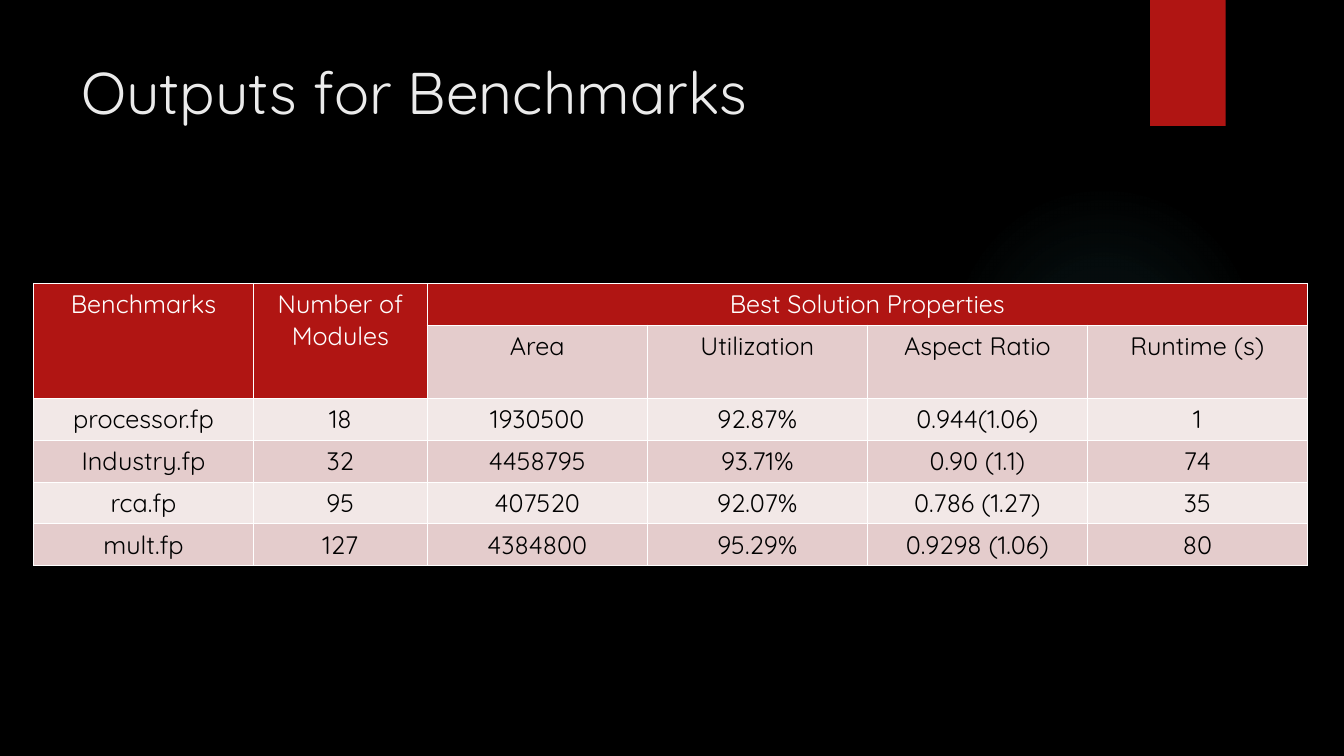
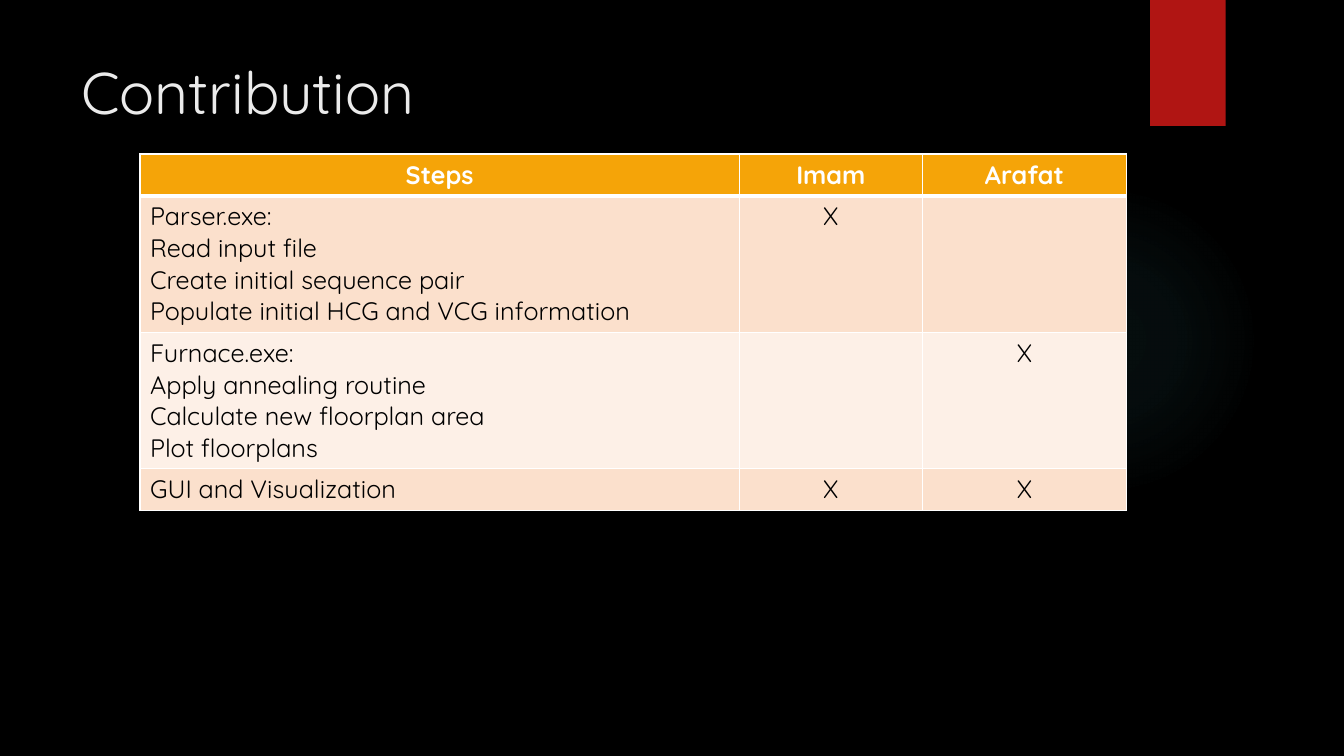
from dataclasses import dataclass

from lxml.etree import SubElement
from pptx import Presentation
from pptx.dml.color import RGBColor
from pptx.enum.shapes import MSO_SHAPE
from pptx.enum.text import MSO_ANCHOR, MSO_AUTO_SIZE, PP_ALIGN
from pptx.oxml import parse_xml
from pptx.oxml.ns import nsdecls, qn
from pptx.util import Pt


@dataclass(frozen=True)
class Theme:
    font: str = "Quicksand"
    title_size: float = 42
    table_size: float = 18
    backdrop: str = "000000"
    title: str = "EBEBEB"
    header_text: str = "FFFFFF"
    body_text: str = "000000"
    rule: str = "FFFFFF"
    glow: str = "50B9C1"
    red: str = "B01513"
    red_bands: tuple = ("E4CCCC", "F2E8E7")
    amber: str = "F5A408"
    amber_bands: tuple = ("FBE0CC", "FDF0E7")


THEME = Theme()
SLIDE_SIZE = (960, 540)
TITLE_BOX = (51, 36, 741, 80)
GLOW_BOX = (677.5, 131.75, 222, 222)
RIBBON_BOX = (821.5, 0, 54, 90)
ROW = 29.8  # height of a table row with one line


def points(values):
    return [Pt(value) for value in values]


def write(frame, text, size=THEME.table_size, color=THEME.body_text,
          bold=False, align=PP_ALIGN.LEFT):
    """Fill a text frame, one paragraph for each line of text."""
    frame.word_wrap = True
    frame.text = text
    for paragraph in frame.paragraphs:
        paragraph.alignment = align
        font = paragraph.font
        font.name, font.size, font.bold = THEME.font, Pt(size), bold
        font.color.rgb = RGBColor.from_string(color)
        for run in paragraph.runs:
            run.font.name = THEME.font


def add_plain_shape(slide, kind, box):
    shape = slide.shapes.add_shape(kind, *points(box))
    shape.shadow.inherit = False
    shape.line.fill.background()
    return shape


def add_glow(slide, box):
    """Faint round light that fades outwards."""
    glow = add_plain_shape(slide, MSO_SHAPE.OVAL, box)
    glow.fill.background()
    stops = "".join(
        f'<a:gs pos="{position * 1000}"><a:srgbClr val="{THEME.glow}">'
        f'<a:alpha val="{alpha * 1000}"/></a:srgbClr></a:gs>'
        for position, alpha in ((0, 7), (36, 6), (69, 0)))
    gradient = parse_xml(
        f'<a:gradFill {nsdecls("a")} rotWithShape="1"><a:gsLst>{stops}</a:gsLst>'
        '<a:path path="circle"><a:fillToRect l="50000" t="50000" r="50000" b="50000"/>'
        '</a:path></a:gradFill>')
    properties = glow.element.spPr
    properties.replace(properties.find(qn("a:noFill")), gradient)


def add_ribbon(slide, box):
    ribbon = add_plain_shape(slide, MSO_SHAPE.RECTANGLE, box)
    ribbon.fill.solid()
    ribbon.fill.fore_color.rgb = RGBColor.from_string(THEME.red)


def add_titled_slide(deck, heading):
    """Slide with the shared decoration and title."""
    slide = deck.slides.add_slide(deck.slide_layouts[5])
    add_glow(slide, GLOW_BOX)
    add_ribbon(slide, RIBBON_BOX)
    title = slide.shapes.title
    title.left, title.top, title.width, title.height = points(TITLE_BOX)
    frame = title.text_frame
    frame.auto_size = MSO_AUTO_SIZE.NONE
    frame.vertical_anchor = MSO_ANCHOR.TOP
    write(frame, heading, size=THEME.title_size, color=THEME.title)
    return slide


def style_cell(cell, fill, top=1, bottom=1):
    """Border lines come before the fill in the cell properties."""
    properties = cell._tc.get_or_add_tcPr()
    for side, width in (("L", 1), ("R", 1), ("T", top), ("B", bottom)):
        line = SubElement(properties, qn(f"a:ln{side}"), w=str(Pt(width)))
        SubElement(SubElement(line, qn("a:solidFill")), qn("a:srgbClr"), val=THEME.rule)
    cell.fill.solid()
    cell.fill.fore_color.rgb = RGBColor.from_string(fill)


def add_grid(slide, origin, widths, heights, rows, header, bands,
             is_header, left_column=False, header_rule=1, bold=False):
    """Banded table; is_header(row, column) picks the header cells."""
    frame = slide.shapes.add_table(
        len(rows), len(widths), *points((*origin, sum(widths), sum(heights))))
    table = frame.table
    for column, width in zip(table.columns, widths):
        column.width = Pt(width)
    for table_row, height in zip(table.rows, heights):
        table_row.height = Pt(height)
    for r, row in enumerate(rows):
        for c, text in enumerate(row):
            cell, heading = table.cell(r, c), is_header(r, c)
            style_cell(cell, header if heading else bands[(r - 1) % 2],
                       top=header_rule if r == 1 else 1,
                       bottom=header_rule if r == 0 else 1)
            flush_left = left_column and c == 0 and not heading
            write(cell.text_frame, text,
                  color=THEME.header_text if heading else THEME.body_text,
                  bold=bold and heading,
                  align=PP_ALIGN.LEFT if flush_left else PP_ALIGN.CENTER)
    return table


def build_benchmarks(deck):
    slide = add_titled_slide(deck, "Outputs for Benchmarks")
    rows = [
        ("Benchmarks", "Number of Modules", "Best Solution Properties", "", "", ""),
        ("", "", "Area", "Utilization", "Aspect Ratio", "Runtime (s)"),
        ("processor.fp", "18", "1930500", "92.87%", "0.944(1.06)", "1"),
        ("Industry.fp", "32", "4458795", "93.71%", "0.90 (1.1)", "74"),
        ("rca.fp", "95", "407520", "92.07%", "0.786 (1.27)", "35"),
        ("mult.fp", "127", "4384800", "95.29%", "0.9298 (1.06)", "80"),
    ]
    table = add_grid(
        slide, (24, 202.5), [157, 124.2] + [157.2] * 4, [ROW, 52.5] + [ROW] * 4,
        rows, THEME.red, THEME.red_bands,
        is_header=lambda r, c: r == 0 or (r == 1 and c < 2))
    # Merged headings
    for first, last in (((0, 0), (1, 0)), ((0, 1), (1, 1)), ((0, 2), (0, 5))):
        table.cell(*first).merge(table.cell(*last))


def build_contribution(deck):
    slide = add_titled_slide(deck, "Contribution")
    parser_steps = ("Parser.exe:", "Read input file", "Create initial sequence pair",
                    "Populate initial HCG and VCG information")
    furnace_steps = ("Furnace.exe:", "Apply annealing routine",
                     "Calculate new floorplan area", "Plot floorplans")
    rows = [
        ("Steps", "Imam", "Arafat"),
        ("\n".join(parser_steps), "X", ""),
        ("\n".join(furnace_steps), "", "X"),
        ("GUI and Visualization", "X", "X"),
    ]
    add_grid(
        slide, (100, 110), [428, 131, 145.5], [ROW, 97.5, 97.5, ROW],
        rows, THEME.amber, THEME.amber_bands, is_header=lambda r, c: r == 0,
        left_column=True, header_rule=3, bold=True)


def main():
    deck = Presentation()
    deck.slide_width, deck.slide_height = points(SLIDE_SIZE)
    backdrop = deck.slide_master.background.fill
    backdrop.solid()
    backdrop.fore_color.rgb = RGBColor.from_string(THEME.backdrop)
    build_benchmarks(deck)
    build_contribution(deck)
    deck.save("out.pptx")


if __name__ == "__main__":
    main()
